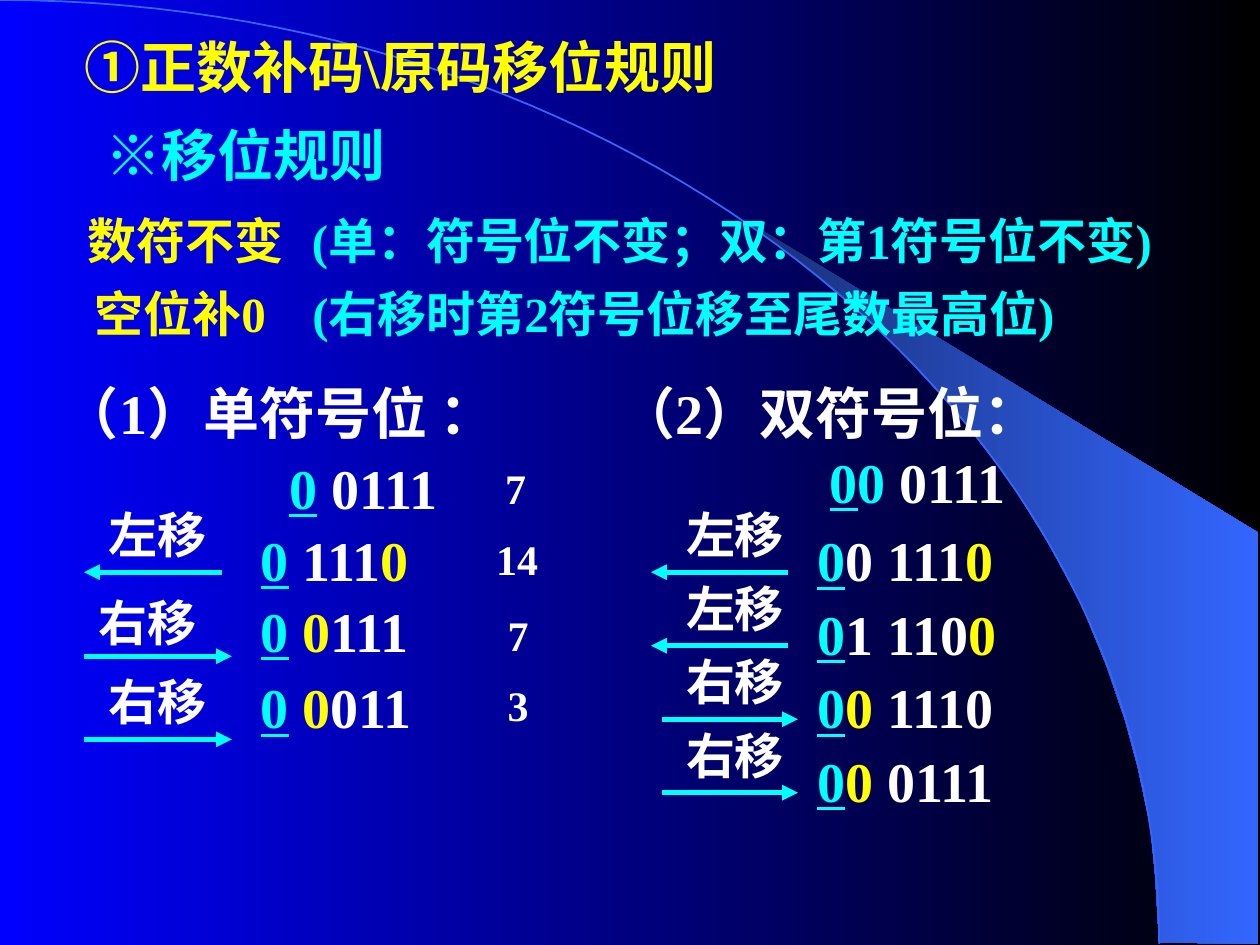
from lxml import etree
from pptx import Presentation
from pptx import util as u
from pptx.dml import color
from pptx.enum import shapes, text
from pptx.oxml import ns

COLOURS = {
    "blue": "0000FF", "black": "000000", "navy": "182F76", "azure": "3366FF",
    "white": "FFFFFF", "cyan": "00FFFF", "yellow": "FFFF00",
}
COLOURS = {name: color.RGBColor.from_string(value) for name, value in COLOURS.items()}
LATIN_FONT, CHINESE_FONT = "Times New Roman", "Noto Sans CJK SC"
CENTRE, LEFT = text.PP_ALIGN.CENTER, text.PP_ALIGN.LEFT
SIGN = ("0", "cyan", True)

presentation = Presentation()
presentation.slide_width, presentation.slide_height = u.Pt(720), u.Pt(540)
slide = presentation.slides.add_slide(presentation.slide_layouts[6])


def add_text(left, top, width, height, runs, size=32, align=CENTRE, indent=7.2, wrap=True):
    """Add a one-line box; each run is (wording, colour, underlined)."""
    box = slide.shapes.add_textbox(u.Pt(left), u.Pt(top), u.Pt(width), u.Pt(height))
    frame = box.text_frame
    frame.word_wrap = wrap
    frame.margin_left = u.Pt(indent)
    paragraph = frame.paragraphs[0]
    paragraph.alignment = align
    for wording, colour, *underlined in runs:
        run = paragraph.add_run()
        run.text = wording
        font = run.font
        font.size, font.bold, font.name = u.Pt(size), True, LATIN_FONT
        font.color.rgb = COLOURS[colour]
        if underlined:
            font.underline = True
        etree.SubElement(run._r.rPr, ns.qn("a:ea"), typeface=CHINESE_FONT)


def add_shift(wording, label_left, label_top, line_left, line_right, line_y):
    """Add a shift label above its arrow, pointing left for 左移, else right."""
    add_text(label_left, label_top, 84, 41, [(wording, "white")], size=28)
    arrow = slide.shapes.add_connector(
        shapes.MSO_CONNECTOR.STRAIGHT,
        u.Pt(line_left), u.Pt(line_y), u.Pt(line_right), u.Pt(line_y))
    arrow.line.color.rgb = COLOURS["cyan"]
    arrow.line.width = u.Pt(3)
    end = "a:headEnd" if wording == "左移" else "a:tailEnd"
    etree.SubElement(arrow.line._get_or_add_ln(), ns.qn(end), type="triangle")
    etree.SubElement(arrow._element.spPr, ns.qn("a:effectLst"))


# Background gradient
background = slide.background.fill
background.gradient()
background.gradient_angle = 0
for stop, name in zip(background.gradient_stops, ("blue", "black")):
    stop.color.rgb = COLOURS[name]

# Light beam at the right
beam_points = [
    (662.4, 538.6), (719.3, 539.3), (719.3, 304.6), (424.1, 124.6), (449.3, 143.3),
    (470.2, 159.8), (493.2, 180), (515.5, 201.6), (548.6, 237.6), (578.2, 276.5),
    (599, 310.3), (617.8, 344.9), (632.2, 380.2), (643, 411.8), (650.2, 438.5),
    (657.4, 472.3), (660.2, 501.1),
]
beam_points = [(u.Pt(x), u.Pt(y)) for x, y in beam_points]
builder = slide.shapes.build_freeform(*beam_points[0])
builder.add_line_segments(beam_points[1:], close=True)
beam = builder.convert_to_shape()
beam.shadow.inherit = False
beam.line.fill.background()
beam.fill.gradient()
beam.fill.gradient_angle = 0
for stop, name in zip(beam.fill.gradient_stops, ("navy", "azure")):
    stop.color.rgb = COLOURS[name]

# Quarter arc, from a cubic curve
arc_width, arc_height, steps = 662.4, 539.3, 60
arc_points = []
for step in range(1, steps + 1):
    t = step / steps
    x = arc_width * (3 * (1 - t) ** 2 * t * 0.55 + 3 * (1 - t) * t ** 2 + t ** 3)
    y = arc_height * (3 * (1 - t) * t ** 2 * 0.45 + t ** 3)
    arc_points.append((u.Pt(x), u.Pt(y)))
builder = slide.shapes.build_freeform(0, 0)
builder.add_line_segments(arc_points, close=False)
arc = builder.convert_to_shape()
arc.shadow.inherit = False
arc.fill.background()
arc.line.color.rgb = COLOURS["azure"]
arc.line.width = u.Pt(1)

# Titles and rules
add_text(41, 15, 483, 46, [("①正数补码\\原码移位规则", "yellow")], align=LEFT)
add_text(24, 65.5, 232.5, 46, [("※移位规则", "cyan")])
add_text(25, 116.5, 162, 41, [("数符不变", "yellow")], size=28)
add_text(142.5, 116.5, 551.5, 41, [
    ("(", "cyan"), ("单：符号位不变；双：第1符号位不变", "cyan"), (")", "cyan")], size=28)
add_text(25, 158.5, 156, 41, [("空位补0", "yellow")], size=28)
add_text(141, 158.5, 499, 41, [
    ("(", "cyan"), ("右移时第2符号位移至尾数最高位", "cyan"), (")", "cyan")], size=28)

# Single sign bit: heading, start value, shifted values
add_text(3, 213, 354, 46, [("（1）单符号位 ：", "white")], align=LEFT, indent=33)
add_text(135.5, 255.5, 144, 46, [SIGN, (" 0111", "white")])
single_values = [
    (296.5, [(" 111", "white"), ("0", "yellow")]),
    (337.5, [(" ", "white"), ("0", "yellow"), ("111", "white")]),
    (381, [(" ", "white"), ("0", "yellow"), ("011", "white")]),
]
for top, runs in single_values:
    add_text(138, top, 138, 46, [SIGN] + runs, align=LEFT, indent=11)
for decimal, left, top in [("7", 281.5, 260.5), ("14", 276.5, 301.5),
                           ("7", 283, 345), ("3", 283, 385)]:
    add_text(left, top, 32 if len(decimal) == 1 else 44, 36,
             [(decimal, "white")], size=24, align=LEFT, wrap=False)
add_shift("左移", 48, 284.5, 48, 127, 327)
add_shift("右移", 42.5, 335, 48, 132.5, 375)
add_shift("右移", 48, 380, 48, 132.5, 422.5)

# Double sign bit: heading, start value, shifted values in equal rows
add_text(327, 213, 294, 46, [("（2）双符号位：", "white")])
add_text(458.5, 252, 132, 46, [SIGN, ("0", "cyan"), (" 0111", "white")])
double_values = [
    ("左移", [("0 111", "white"), ("0", "yellow")]),
    ("左移", [("1 110", "white"), ("0", "yellow")]),
    ("右移", [("0", "yellow"), (" 1110", "white")]),
    ("右移", [("0", "yellow"), (" 0111", "white")]),
]
for row, (shift, runs) in enumerate(double_values):
    top = 285 + 42 * row
    line_left = 372 if shift == "左移" else 378
    add_shift(shift, 378, top, line_left, line_left + 78, top + 42)
    add_text(456, top + 12, 138, 84, [SIGN] + runs, align=LEFT, indent=11)

presentation.save("out.pptx")
